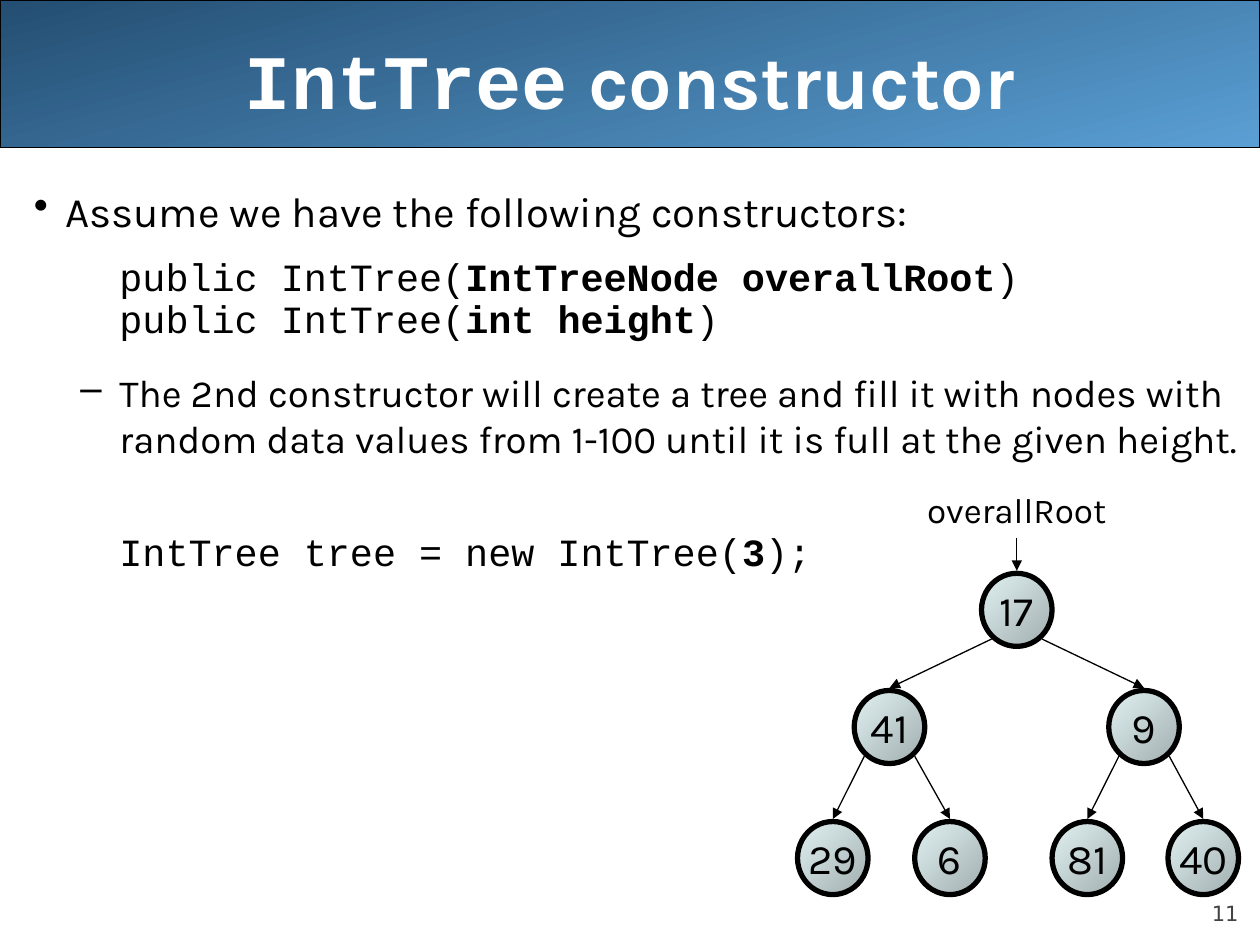
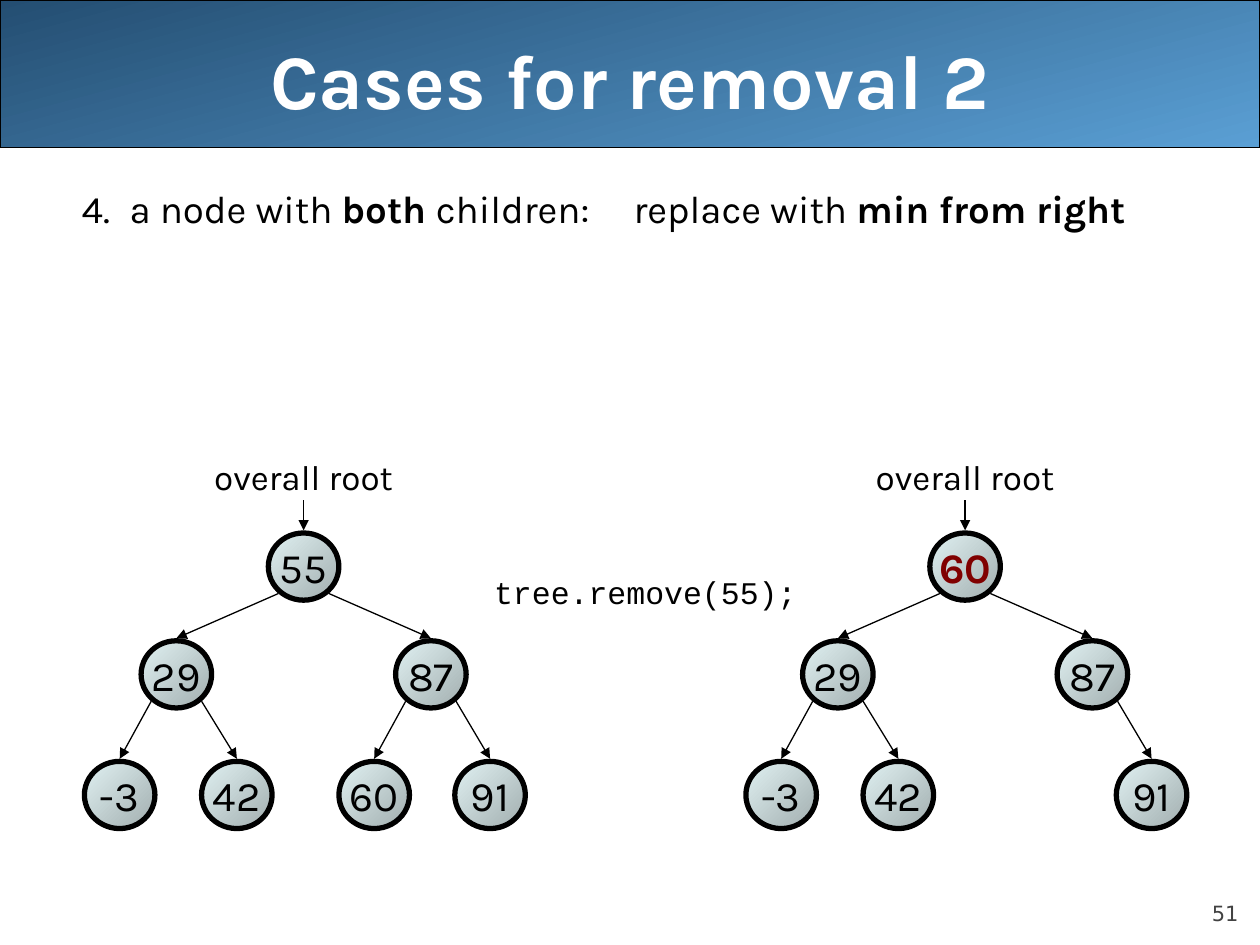
from dataclasses import dataclass, replace

from lxml.etree import SubElement
from pptx import Presentation
from pptx.dml.color import RGBColor
from pptx.enum.shapes import MSO_CONNECTOR, MSO_SHAPE
from pptx.enum.text import MSO_ANCHOR, MSO_AUTO_SIZE, PP_ALIGN
from pptx.oxml.ns import qn
from pptx.util import Inches, Pt

BLACK = RGBColor(0x00, 0x00, 0x00)
WHITE = RGBColor(0xFF, 0xFF, 0xFF)
GREY = RGBColor(0x42, 0x42, 0x42)
DARK_RED = RGBColor(0x80, 0x00, 0x00)
BAND_DARK = RGBColor(0x24, 0x4E, 0x72)
BAND_LIGHT = RGBColor(0x5A, 0x9F, 0xD4)
NODE_DARK = RGBColor(0xA1, 0xAD, 0xAE)
NODE_LIGHT = RGBColor(0xE1, 0xF2, 0xF3)


@dataclass(frozen=True)
class TextStyle:
    font: str
    size: int
    color: RGBColor = BLACK
    bold: bool = False

    def strong(self):
        return replace(self, bold=True)


TITLE = TextStyle("Karla", 44, WHITE, True)
TITLE_CODE = replace(TITLE, font="Courier New")
LEAD = TextStyle("Karla", 24)
DETAIL = TextStyle("Karla", 22)
CODE = TextStyle("Courier New", 22)
CALL = TextStyle("Courier New", 18)
NODE = TextStyle("Karla", 24)
CHANGED_NODE = TextStyle("Karla", 24, DARK_RED, True)
ROOT_LABEL = TextStyle("Karla", 20)
PAGE_NUMBER = TextStyle("DejaVu Sans", 12, GREY)

NODE_WIDTH = 0.56
NODE_HEIGHT = 0.58
NODE_LEFTS = [1.46, 0.45, 2.47, 0, 0.93, 2.02, 2.94]
NODE_TOPS = [0, 0.93, 0.93, 1.97, 1.97, 1.97, 1.97]
EDGE_SPREAD = 0.2
ARROW_GAP = 0.02
LABEL_WIDTH = 1.7
LABEL_HEIGHT = 0.44


class TreeDeck:
    def __init__(self):
        self.presentation = Presentation()
        self.presentation.slide_width = Inches(10)
        self.presentation.slide_height = Inches(7.5)
        self.slide = None

    def add_slide(self, number, *title_runs):
        layout = self.presentation.slide_layouts[5]
        self.slide = self.presentation.slides.add_slide(layout)
        title = self.slide.shapes.title
        self.place(title, 0.5, 0, 9, 1.25)
        title.text_frame.auto_size = MSO_AUTO_SIZE.NONE
        title.text_frame.vertical_anchor = MSO_ANCHOR.MIDDLE
        self.fill_paragraph(title.text_frame.paragraphs[0], title_runs, PP_ALIGN.CENTER)
        band = self.gradient_shape(self.slide.shapes, MSO_SHAPE.RECTANGLE, (0, 0, 10, 1.17),
                                   (BAND_DARK, BAND_LIGHT), 285, 0.75)
        title.element.addprevious(band.element)
        footer = self.text_box(self.slide.shapes, (9, 6.95, 0.83, 0.4))
        footer.vertical_anchor = MSO_ANCHOR.BOTTOM
        footer.margin_left = footer.margin_right = footer.margin_top = footer.margin_bottom = 0
        self.fill_paragraph(footer.paragraphs[0], [(number, PAGE_NUMBER)], PP_ALIGN.RIGHT)

    def place(self, shape, left, top, width, height):
        shape.left, shape.top = Inches(left), Inches(top)
        shape.width, shape.height = Inches(width), Inches(height)

    def gradient_shape(self, shapes, kind, box, colors, angle, line_width):
        shape = shapes.add_shape(kind, *map(Inches, box))
        shape.shadow.inherit = False
        shape.fill.gradient()
        shape.fill.gradient_angle = angle
        for stop, color in zip(shape.fill.gradient_stops, colors):
            stop.color.rgb = color
        shape.line.color.rgb = BLACK
        shape.line.width = Pt(line_width)
        return shape

    def text_box(self, shapes, box, wrap=True):
        frame = shapes.add_textbox(*map(Inches, box)).text_frame
        frame.word_wrap = wrap
        return frame

    def fill_paragraph(self, paragraph, runs, alignment=PP_ALIGN.LEFT):
        paragraph.alignment = alignment
        for text, style in runs:
            run = paragraph.add_run()
            run.text = text
            run.font.name = style.font
            run.font.size = Pt(style.size)
            run.font.bold = style.bold
            run.font.color.rgb = style.color

    def body(self):
        return self.text_box(self.slide.shapes, (0.17, 1.42, 9.83, 5.67))

    def body_paragraph(self, frame, *runs, margin=0.68, indent=0, bullet=None, tab=None,
                       before=0, spacing=1.0):
        paragraph = frame.paragraphs[0]
        if paragraph.runs:
            paragraph = frame.add_paragraph()
        paragraph.line_spacing = spacing
        paragraph.space_before = Pt(before)
        properties = paragraph._p.get_or_add_pPr()
        properties.set("marL", str(Inches(margin)))
        properties.set("indent", str(Inches(indent)))
        if bullet:
            SubElement(properties, qn("a:buChar"), char=bullet)
        if tab:
            tabs = SubElement(properties, qn("a:tabLst"))
            SubElement(tabs, qn("a:tab"), pos=str(Inches(tab)), algn="l")
        self.fill_paragraph(paragraph, runs)

    def arrow(self, shapes, *ends):
        connector = shapes.add_connector(MSO_CONNECTOR.STRAIGHT, *map(Inches, ends))
        connector.line.color.rgb = BLACK
        connector.line.width = Pt(0.75)
        properties = connector.element.spPr
        SubElement(properties.find(qn("a:ln")), qn("a:tailEnd"), type="triangle")
        SubElement(properties, qn("a:effectLst"))

    def node(self, shapes, left, top, height, value, style):
        circle = self.gradient_shape(shapes, MSO_SHAPE.OVAL, (left, top, NODE_WIDTH, height),
                                     (NODE_DARK, NODE_LIGHT), 135, 3)
        frame = circle.text_frame
        frame.word_wrap = False
        frame.vertical_anchor = MSO_ANCHOR.MIDDLE
        self.fill_paragraph(frame.paragraphs[0], [(value, style)], PP_ALIGN.CENTER)

    def tree(self, left, top, label, values, scale=1.0, root_style=NODE):
        shapes = self.slide.shapes.add_group_shape().shapes
        height = NODE_HEIGHT * scale
        lefts = [left + offset for offset in NODE_LEFTS]
        centers = [node_left + NODE_WIDTH / 2 for node_left in lefts]
        tops = [top + offset * scale for offset in NODE_TOPS]
        for index, value in enumerate(values):
            if value is None:
                continue
            style = NODE if index else root_style
            self.node(shapes, lefts[index], tops[index], height, value, style)
            if index:
                parent = (index - 1) // 2
                side = EDGE_SPREAD if index % 2 == 0 else -EDGE_SPREAD
                self.arrow(shapes, centers[parent] + side, tops[parent] + 0.9 * height,
                           centers[index], tops[index] - ARROW_GAP)
        frame = self.text_box(shapes, (centers[0] - LABEL_WIDTH / 2, top - 0.72 * scale,
                                       LABEL_WIDTH, LABEL_HEIGHT), wrap=False)
        self.fill_paragraph(frame.paragraphs[0], [(label, ROOT_LABEL)], PP_ALIGN.CENTER)
        self.arrow(shapes, centers[0], top - 0.28 * scale, centers[0], top - ARROW_GAP)

    def call(self, text):
        frame = self.text_box(self.slide.shapes, (3.82, 4.5, 2.6, 0.4))
        self.fill_paragraph(frame.paragraphs[0], [(text, CALL)], PP_ALIGN.RIGHT)


def add_constructor_slide(deck):
    deck.add_slide("11", ("IntTree", TITLE_CODE), (" constructor", TITLE))
    body = deck.body()
    deck.body_paragraph(body, ("Assume we have the following constructors:", LEAD),
                        margin=0.25, indent=-0.25, bullet="•")
    for parameter, before in (("IntTreeNode overallRoot", 17), ("int height", 5.5)):
        deck.body_paragraph(body, ("public IntTree(", CODE), (parameter, CODE.strong()),
                            (")", CODE), before=before, spacing=0.7)
    deck.body_paragraph(body, ("The 2nd constructor will create a tree and fill it with nodes with "
                               "random data values from 1-100 until it is full at the given height.",
                               DETAIL), indent=-0.31, bullet="–", before=17)
    deck.body_paragraph(body, ("IntTree tree = new IntTree(", CODE), ("3", CODE.strong()),
                        (");", CODE), before=38)
    deck.tree(6.33, 4.55, "overallRoot", ["17", "41", "9", "29", "6", "81", "40"])


def add_removal_slide(deck):
    deck.add_slide("51", ("Cases for removal 2", TITLE))
    deck.body_paragraph(deck.body(), ("4.\ta node with ", DETAIL), ("both ", DETAIL.strong()),
                        ("children:\treplace with ", DETAIL), ("min from right", DETAIL.strong()),
                        margin=0.76, indent=-0.38, tab=4.76)
    deck.tree(0.67, 4.23, "overall root", ["55", "29", "87", "-3", "42", "60", "91"], scale=0.92)
    deck.tree(5.92, 4.23, "overall root", ["60", "29", "87", "-3", "42", None, "91"], scale=0.92,
              root_style=CHANGED_NODE)
    deck.call("tree.remove(55);")


def main():
    deck = TreeDeck()
    add_constructor_slide(deck)
    add_removal_slide(deck)
    deck.presentation.save("out.pptx")


if __name__ == "__main__":
    main()
